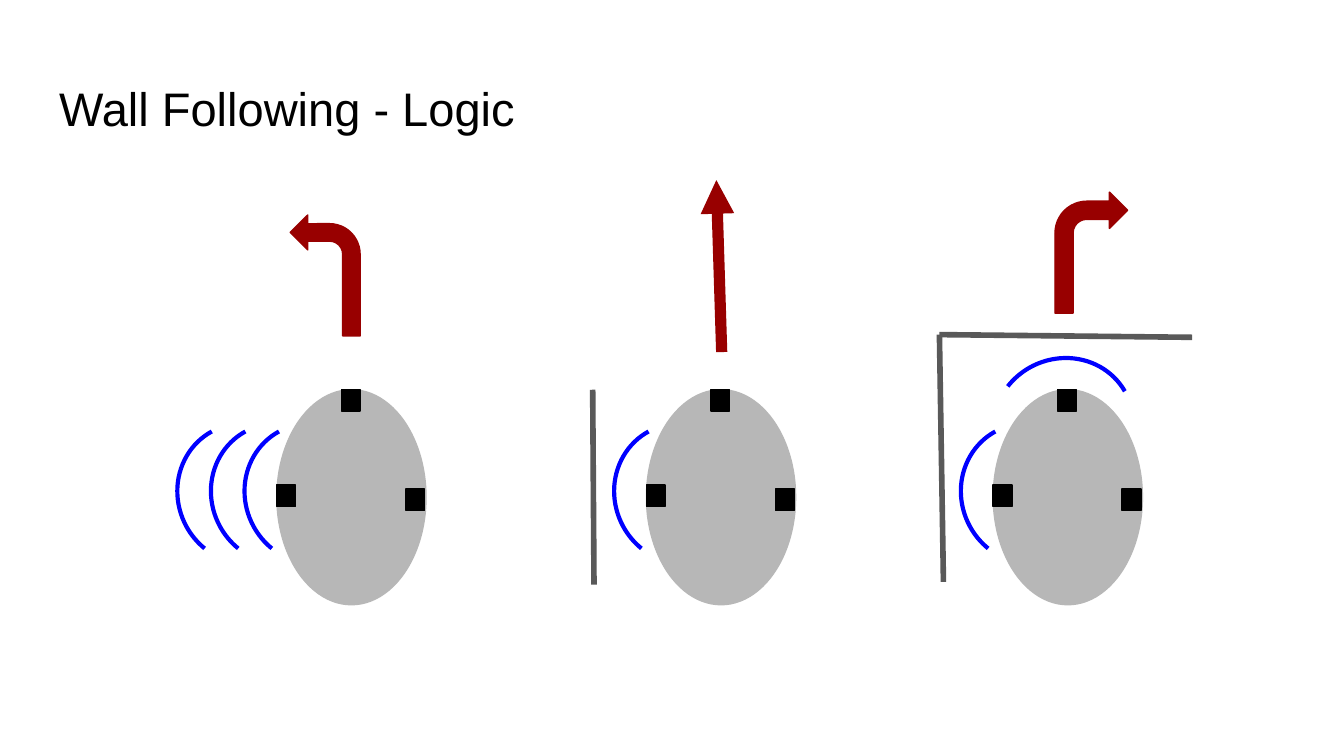
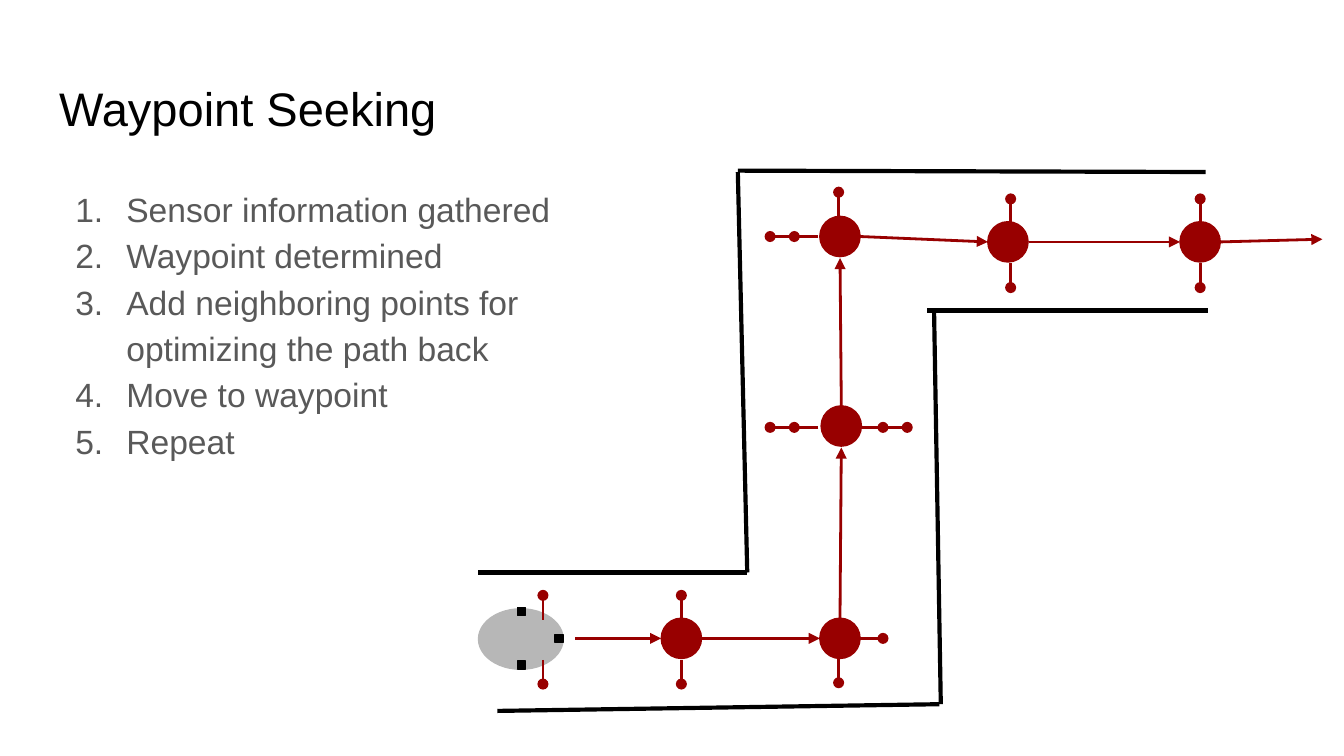
"""Build two slides on robot wall following and waypoint seeking."""
import pptx
import pptx.dml.color
import pptx.enum.shapes
import pptx.enum.text
import pptx.oxml
import pptx.oxml.ns
import pptx.util
from lxml import etree

Inches = pptx.util.Inches
Pt = pptx.util.Pt
RGB = pptx.dml.color.RGBColor
qn = pptx.oxml.ns.qn
SHAPE = pptx.enum.shapes.MSO_SHAPE
ANCHOR = pptx.enum.text.MSO_ANCHOR
ALIGN = pptx.enum.text.PP_ALIGN

BLACK = RGB(0x00, 0x00, 0x00)
BODY_GREY = RGB(0x59, 0x59, 0x59)
ROBOT_GREY = RGB(0xB7, 0xB7, 0xB7)
RED = RGB(0x98, 0x00, 0x00)
BLUE = RGB(0x00, 0x00, 0xFF)

SLIDE_WIDTH = Inches(10)
SLIDE_HEIGHT = SLIDE_WIDTH * 9 // 16
INSET = Inches(0.1)
FRAME = dict(margin_left=INSET, margin_right=INSET, margin_top=INSET, margin_bottom=INSET,
             word_wrap=True, auto_size=pptx.enum.text.MSO_AUTO_SIZE.NONE)
TITLE_FONT = dict(name="Arial", size=Pt(25.2), bold=False)
BODY_FONT = dict(name="Arial", size=Pt(18))
TITLE_PARA = dict(alignment=ALIGN.LEFT)
BODY_PARA = dict(alignment=ALIGN.LEFT, line_spacing=1.15, space_before=Pt(0), space_after=Pt(0))
TITLE_LAYOUT, LIST_LAYOUT = 5, 1


def apply(obj, values):
    for name, value in values.items():
        setattr(obj, name, value)


class Deck:
    def __init__(self):
        self.prs = pptx.Presentation()
        apply(self.prs, dict(slide_width=SLIDE_WIDTH, slide_height=SLIDE_HEIGHT))
        self.slide = None

    def add_slide(self, layout, title):
        self.slide = self.prs.slides.add_slide(self.prs.slide_layouts[layout])
        self.fill_placeholder(self.slide.shapes.title, (0.34, 0.49, 9.32, 0.63), [title],
                              ANCHOR.MIDDLE, TITLE_PARA, TITLE_FONT, BLACK)

    def fill_placeholder(self, sp, box, lines, anchor, para, font, color):
        apply(sp, dict(zip(("left", "top", "width", "height"), map(Inches, box))))
        tf = sp.text_frame
        tf.text = "\n".join(lines)
        apply(tf, dict(FRAME, vertical_anchor=anchor))
        for p in tf.paragraphs:
            apply(p, para)
            for r in p.runs:
                apply(r.font, font)
                r.font.color.rgb = color
        return tf

    def numbered_list(self, box, lines):
        tf = self.fill_placeholder(self.slide.placeholders[1], box, lines,
                                   ANCHOR.TOP, BODY_PARA, BODY_FONT, BODY_GREY)
        for p in tf.paragraphs:
            pPr = p._p.get_or_add_pPr()
            pPr.set("marL", str(Inches(0.5)))
            pPr.set("indent", str(Inches(-0.38)))
            clr = etree.SubElement(pPr, qn("a:buClr"))
            etree.SubElement(clr, qn("a:srgbClr"), val=str(BODY_GREY))
            etree.SubElement(pPr, qn("a:buFont"), typeface="Arial")
            etree.SubElement(pPr, qn("a:buAutoNum"), type="arabicPeriod")

    def shape(self, kind, box, color, rotation=0, filled=True, width=0.75):
        sp = self.slide.shapes.add_shape(kind, *map(Inches, box))
        sp.shadow.inherit = False
        sp.rotation = rotation
        if filled:
            sp.fill.solid()
            sp.fill.fore_color.rgb = color
        else:
            sp.fill.background()
        sp.line.color.rgb = color
        sp.line.width = Pt(width)
        return sp

    def line(self, start, end, color, width, tail=None):
        cx = self.slide.shapes.add_connector(pptx.enum.shapes.MSO_CONNECTOR.STRAIGHT,
                                             *map(Inches, (*start, *end)))
        cx.line.color.rgb = color
        cx.line.width = Pt(width)
        spPr = cx._element.spPr
        if tail:
            etree.SubElement(spPr.find(qn("a:ln")), qn("a:tailEnd"), type=tail)
        etree.SubElement(spPr, qn("a:effectLst"))

    def wave(self, left, top, rotation):
        sp = self.shape(SHAPE.ARC, (left, top, 1.06, 1.01), BLUE, rotation, False, 2.25)
        sp.adjustments[0] = 147.544
        sp.adjustments[1] = 0

    def turn(self, box, to_left=False):
        sp = self.shape(SHAPE.BENT_ARROW, box, RED)
        for i, value in enumerate((0.25, 0.25, 0.25, 0.438)):
            sp.adjustments[i] = value
        if to_left:
            sp._element.spPr.find(qn("a:xfrm")).set("flipH", "1")

    def robot(self, body, sensors, size, rotation=0):
        self.shape(SHAPE.OVAL, body, ROBOT_GREY, rotation)
        for left, top in sensors:
            self.shape(SHAPE.RECTANGLE, (left, top, *size), BLACK, rotation)

    def spokes(self, hub, arms):
        x, y = hub
        for dx, dy, count in arms:
            for i in range(count):
                near, far = 0.15 + 0.18 * i, 0.33 + 0.18 * i
                self.line((x + dx * near, y + dy * near), (x + dx * far, y + dy * far),
                          RED, 1.5, "oval")


def wall_following(deck):
    deck.add_slide(TITLE_LAYOUT, "Wall Following - Logic")
    for left, waves in ((2.06, 3), (4.81, 1), (7.39, 1)):
        sensors = [(left + dx, 2.9 + dy) for dx, dy in ((0, 0.71), (0.96, 0.74), (0.48, 0))]
        deck.robot((left, 2.9, 1.11, 1.6), sensors, (0.14, 0.16))
        for i in range(waves):
            deck.wave(left - 0.26 - 0.25 * i, 3.17, 241.3)
    deck.wave(7.38, 2.67, 330.2)
    for start, end in (((4.41, 2.9), (4.42, 4.35)),
                       ((6.99, 2.49), (7.02, 4.33)),
                       ((6.99, 2.49), (8.87, 2.51))):
        deck.line(start, end, BODY_GREY, 3)
    deck.turn((2.16, 1.6, 0.52, 0.9), to_left=True)
    deck.line((5.37, 2.62), (5.33, 1.34), RED, 6, "triangle")
    deck.turn((7.85, 1.43, 0.54, 0.9))


def waypoint_seeking(deck):
    deck.add_slide(LIST_LAYOUT, "Waypoint Seeking")
    for start, end in (((3.56, 4.26), (5.56, 4.26)), ((5.56, 4.26), (5.49, 1.28)),
                       ((5.49, 1.27), (8.97, 1.28)), ((3.7, 5.29), (6.99, 5.24)),
                       ((7, 5.24), (6.95, 2.32)), ((6.9, 2.31), (8.99, 2.31))):
        deck.line(start, end, BLACK, 2.25)
    deck.robot((3.65, 4.44, 0.45, 0.63), ((4.13, 4.72), (3.85, 4.92), (3.85, 4.52)),
               (0.06, 0.06), 90)
    for left, top in ((4.92, 4.6), (6.1, 4.6), (6.11, 3.02),
                      (6.1, 1.61), (7.35, 1.65), (8.78, 1.65)):
        deck.shape(SHAPE.OVAL, (left, top, 0.3, 0.3), RED)
    for start, end in (((4.28, 4.75), (4.92, 4.75)), ((5.22, 4.75), (6.1, 4.75)),
                       ((6.25, 4.6), (6.26, 3.33)), ((6.26, 3.02), (6.25, 1.92)),
                       ((6.4, 1.76), (7.35, 1.8)), ((7.66, 1.8), (8.78, 1.8)),
                       ((9.08, 1.8), (9.84, 1.78))):
        deck.line(start, end, RED, 1.5, "triangle")
    deck.numbered_list((0.34, 1.26, 4.78, 3.74), [
        "Sensor information gathered",
        "Waypoint determined",
        "Add neighboring points for optimizing the path back",
        "Move to waypoint",
        "Repeat"])
    up, down, right = (0, -1, 1), (0, 1, 1), (1, 0, 1)
    left_pair, right_pair = (-1, 0, 2), (1, 0, 2)
    for hub, arms in (((4.04, 4.76), (up, down)), ((5.07, 4.76), (up, down)),
                      ((6.24, 4.75), (right, down)),
                      ((6.24, 3.18), (left_pair, right_pair)),
                      ((6.24, 1.76), (up, left_pair)),
                      ((7.52, 1.81), (up, down)), ((8.93, 1.81), (up, down))):
        deck.spokes(hub, arms)


def main():
    deck = Deck()
    wall_following(deck)
    waypoint_seeking(deck)
    deck.prs.save("out.pptx")


if __name__ == "__main__":
    main()
